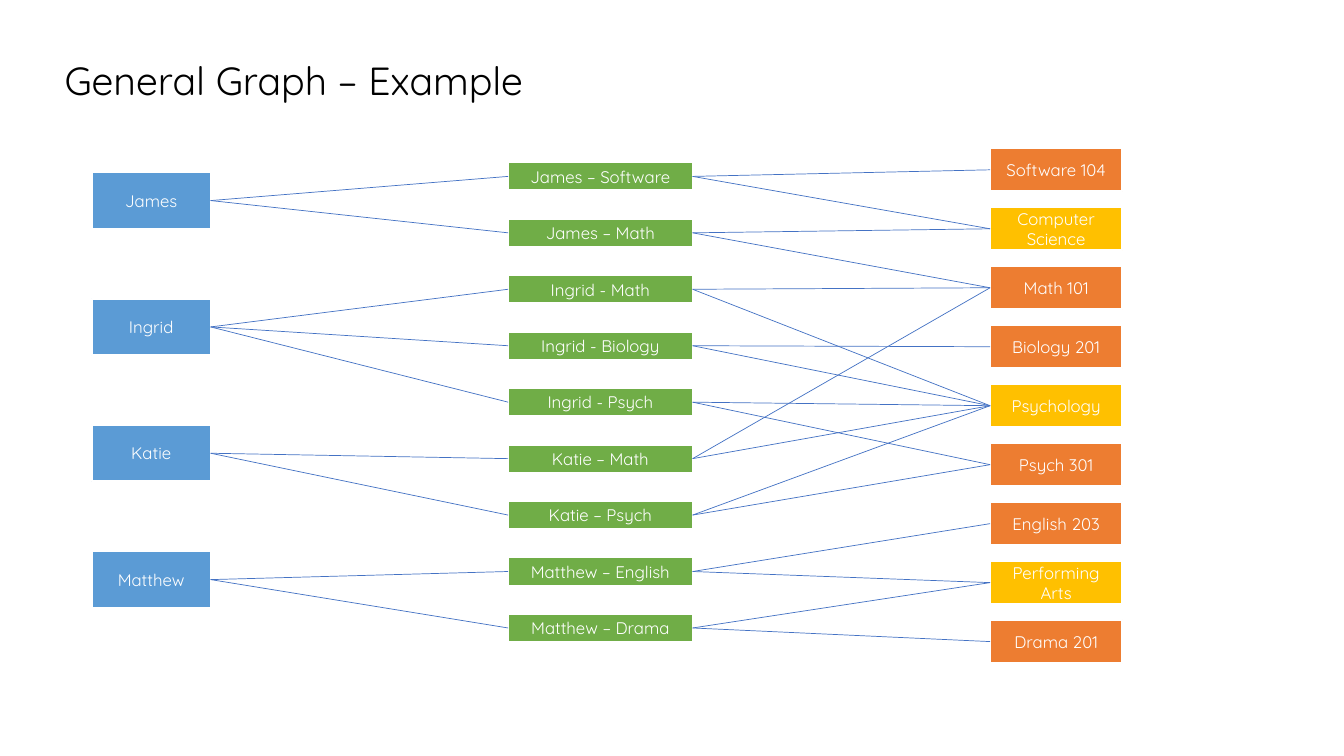
from dataclasses import dataclass

from lxml import etree
from pptx import Presentation
from pptx.dml.color import RGBColor as RGB
from pptx.enum.shapes import MSO_CONNECTOR as CONN, MSO_SHAPE as SHAPE
from pptx.enum.text import MSO_ANCHOR as ANCHOR, MSO_AUTO_SIZE as AUTO, PP_ALIGN as ALIGN
from pptx.oxml.ns import qn
from pptx.util import Inches, Pt


@dataclass(frozen=True)
class Theme:
    font: str = "Quicksand"
    title_size: int = 28
    node_size: int = 12
    border: float = 1.5
    edge: float = 0.5
    black: str = "000000"
    white: str = "FFFFFF"
    student: str = "5B9BD5"
    enrolment: str = "70AD47"
    course: str = "ED7D31"
    subject: str = "FFC000"
    link: str = "4472C4"


def write(tf, text, *, font, size, color, align, spacing=1.0):
    """Put one formatted paragraph into a text frame, centred vertically."""
    tf.word_wrap = True
    tf.auto_size = AUTO.NONE
    tf.vertical_anchor = ANCHOR.MIDDLE
    p = tf.paragraphs[0]
    p.alignment = align
    p.line_spacing = spacing
    r = p.add_run()
    r.text = text
    r.font.name = font
    r.font.size = Pt(size)
    r.font.color.rgb = RGB.from_string(color)


class GraphSlide:
    LEFT_SIDE, RIGHT_SIDE = 1, 3  # connection sites of a rectangle

    def __init__(self, prs, theme):
        self.theme = theme
        self.slide = prs.slides.add_slide(prs.slide_layouts[5])

    def title(self, text, left, top, width, height):
        sp = self.slide.shapes.title
        sp.left, sp.top, sp.width, sp.height = map(Inches, (left, top, width, height))
        t = self.theme
        write(sp.text_frame, text, font=t.font, size=t.title_size, color=t.black,
              align=ALIGN.LEFT, spacing=0.9)

    def node(self, text, fill, left, top, width, height):
        t = self.theme
        sp = self.slide.shapes.add_shape(
            SHAPE.RECTANGLE, *map(Inches, (left, top, width, height)))
        sp.shadow.inherit = False
        sp.fill.solid()
        sp.fill.fore_color.rgb = RGB.from_string(fill)
        sp.line.color.rgb = RGB.from_string(t.white)
        sp.line.width = Pt(t.border)
        write(sp.text_frame, text, font=t.font, size=t.node_size, color=t.white,
              align=ALIGN.CENTER)
        return sp

    def column(self, items, left, first, last, width, height):
        """Spread (text, fill) nodes evenly between the first and last tops."""
        step = (last - first) / (len(items) - 1)
        return {text: self.node(text, fill, left, first + i * step, width, height)
                for i, (text, fill) in enumerate(items)}

    def link(self, right_node, left_node):
        line = self.slide.shapes.add_connector(CONN.STRAIGHT, 0, 0, 0, 0)
        line.begin_connect(right_node, self.LEFT_SIDE)
        line.end_connect(left_node, self.RIGHT_SIDE)
        line.line.color.rgb = RGB.from_string(self.theme.link)
        line.line.width = Pt(self.theme.edge)
        etree.SubElement(line._element.spPr, qn("a:effectLst"))


# Each enrolment: its student and the nodes it leads to
ENROLMENTS = {
    "James – Software": ("James", ["Software 104", "Computer Science"]),
    "James – Math": ("James", ["Computer Science", "Math 101"]),
    "Ingrid - Math": ("Ingrid", ["Math 101", "Psychology"]),
    "Ingrid - Biology": ("Ingrid", ["Biology 201", "Psychology"]),
    "Ingrid - Psych": ("Ingrid", ["Psychology", "Psych 301"]),
    "Katie – Math": ("Katie", ["Math 101", "Psychology"]),
    "Katie – Psych": ("Katie", ["Psychology", "Psych 301"]),
    "Matthew – English": ("Matthew", ["English 203", "Performing Arts"]),
    "Matthew – Drama": ("Matthew", ["Performing Arts", "Drama 201"]),
}
STUDENTS = ["James", "Ingrid", "Katie", "Matthew"]
SUBJECTS = {"Computer Science", "Psychology", "Performing Arts"}
TARGETS = ["Software 104", "Computer Science", "Math 101", "Biology 201", "Psychology",
           "Psych 301", "English 203", "Performing Arts", "Drama 201"]


def main():
    prs = Presentation()
    prs.slide_width, prs.slide_height = Inches(13.33), Inches(7.5)
    theme = Theme()
    s = GraphSlide(prs, theme)
    s.title("General Graph – Example", 0.54, 0.54, 10.59, 0.56)

    # Three columns of nodes
    students = s.column([(name, theme.student) for name in STUDENTS],
                        0.91, 1.71, 5.47, 1.18, 0.56)
    enrolments = s.column([(name, theme.enrolment) for name in ENROLMENTS],
                          5.04, 1.61, 6.09, 1.83, 0.28)
    targets = s.column(
        [(name, theme.subject if name in SUBJECTS else theme.course) for name in TARGETS],
        9.82, 1.47, 6.15, 1.31, 0.43)

    # Links between the columns
    for name, (student, goals) in ENROLMENTS.items():
        s.link(enrolments[name], students[student])
        for goal in goals:
            s.link(targets[goal], enrolments[name])

    prs.save("out.pptx")


if __name__ == "__main__":
    main()
